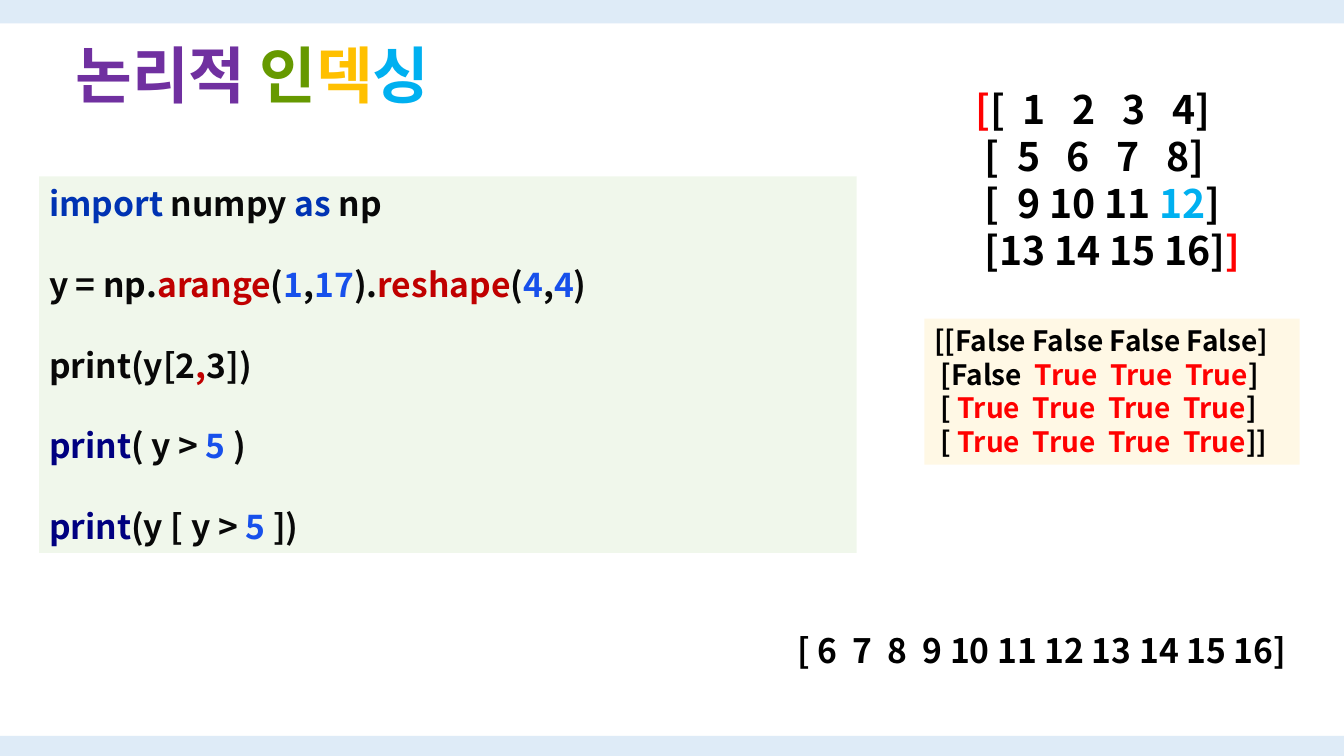
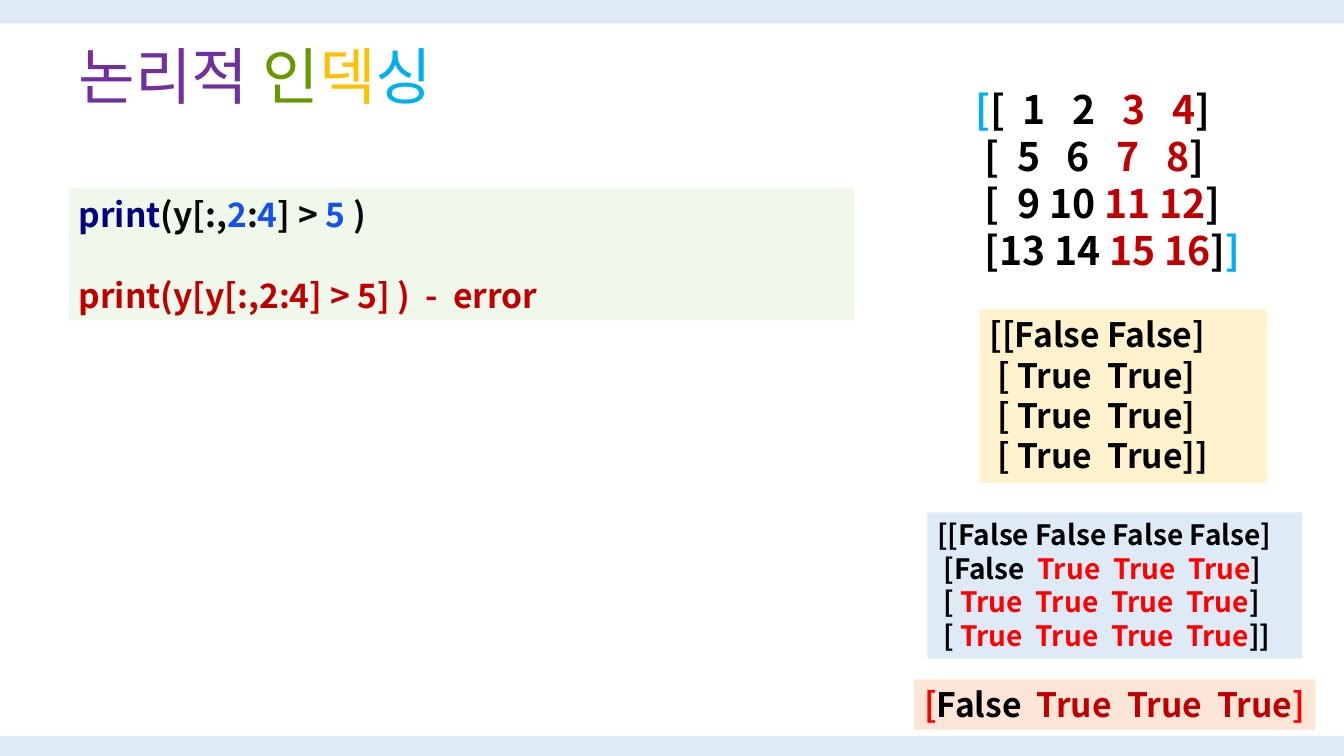
from dataclasses import dataclass

from lxml import etree
from pptx import Presentation
from pptx.dml.color import RGBColor
from pptx.enum.shapes import MSO_SHAPE
from pptx.enum.text import MSO_ANCHOR, MSO_AUTO_SIZE, PP_ALIGN
from pptx.oxml.ns import qn
from pptx.util import Pt

RECTANGLE = MSO_SHAPE.RECTANGLE
TOP = MSO_ANCHOR.TOP
MIDDLE = MSO_ANCHOR.MIDDLE
LEFT = PP_ALIGN.LEFT
NO_AUTOFIT = MSO_AUTO_SIZE.NONE


@dataclass(frozen=True)
class Theme:
    width: float = 960
    height: float = 540
    font: str = "Noto Sans CJK KR"
    leading: float = 1.2
    title_leading: float = 1.08
    title_size: int = 44
    matrix_size: int = 28
    code_size: int = 24
    table_size: int = 20
    black: str = "000000"
    ink: str = "080808"
    keyword: str = "0033B3"
    builtin: str = "000080"
    number: str = "1750EB"
    crimson: str = "C00000"
    red: str = "FF0000"
    sky: str = "00B0F0"
    purple: str = "7030A0"
    green: str = "669900"
    amber: str = "FFC000"
    pale_blue: str = "DEEBF7"
    pale_green: str = "E2F0D9"
    pale_yellow: str = "FFF2CC"
    pale_orange: str = "FBE5D6"


THEME = Theme()
BLACK, INK, RED, CRIMSON = THEME.black, THEME.ink, THEME.red, THEME.crimson
SKY, NUMBER, KEYWORD, BUILTIN = THEME.sky, THEME.number, THEME.keyword, THEME.builtin

TITLE = [[("논리적 ", THEME.purple), ("인", THEME.green), ("덱", THEME.amber), ("싱", SKY)]]

MASK_ROW = [(" [ ", BLACK), ("True  True  True  True", RED)]
FULL_MASK = [
    [("[[False False False False]", BLACK)],
    [(" [False  ", BLACK), ("True  True  True", RED), ("]", BLACK)],
    MASK_ROW + [("]", BLACK)],
    MASK_ROW + [("]]", BLACK)],
]
COLUMN_MASK = [
    [(text, BLACK)]
    for text in ("[[False False]", " [ True  True]", " [ True  True]", " [ True  True]]")
]
ROW_MASK = [[("[", RED), ("False  ", BLACK), ("True  True  True", CRIMSON), ("]", RED)]]
SELECTED_VALUES = [[("[ 6  7  8  9 10 11 12 13 14 15 16]", BLACK)]]

ELEMENT_MATRIX = [
    [("[", RED), ("[  1   2   3   4]", BLACK)],
    [(" [  5   6   7   8]", BLACK)],
    [(" [  9 10 11 ", BLACK), ("12", SKY), ("]", BLACK)],
    [(" [13 14 15 16]", BLACK), ("]", RED)],
]
COLUMN_MATRIX = [
    [("[", SKY), ("[  1   2   ", BLACK), ("3   4", CRIMSON), ("]", BLACK)],
    [(" [  5   6   ", BLACK), ("7   8", CRIMSON), ("]", BLACK)],
    [(" [  9 10 ", BLACK), ("11 12", CRIMSON), ("]", BLACK)],
    [(" [13 14 ", BLACK), ("15 16", CRIMSON), ("]", BLACK), ("]", SKY)],
]

INDEXING_CODE = [
    [("import ", KEYWORD), ("numpy ", INK), ("as ", KEYWORD), ("np", INK)],
    [("y = np.", INK), ("arange", CRIMSON), ("(", INK), ("1", NUMBER), (",", INK),
     ("17", NUMBER), (").", INK), ("reshape", CRIMSON), ("(", INK), ("4", NUMBER),
     (",", INK), ("4", NUMBER), (")", INK)],
    [("print(y[2", INK), (",", CRIMSON), ("3])", INK)],
    [("print", BUILTIN), ("( y > ", INK), ("5 ", NUMBER), (")", INK)],
    [("print", BUILTIN), ("(y [ y > ", INK), ("5 ", NUMBER), ("])", INK)],
]
COLUMN_CODE = [
    [("print", BUILTIN), ("(y[:,", INK), ("2", NUMBER), (":", INK), ("4", NUMBER),
     ("] > ", INK), ("5 ", NUMBER), (")", INK)],
    [("print(y[y[:,2:4] > 5] )  -  error", CRIMSON)],
]


def apply_format(target, values):
    for name, value in values.items():
        setattr(target, name, value)


def add_rectangle(slide, box, fill, opacity=100):
    shape = slide.shapes.add_shape(RECTANGLE, *map(Pt, box))
    shape.shadow.inherit = False
    shape.fill.solid()
    shape.fill.fore_color.rgb = RGBColor.from_string(fill)
    shape.line.fill.background()
    if opacity < 100:
        color = shape.fill._xPr.find(".//" + qn("a:srgbClr"))
        etree.SubElement(color, qn("a:alpha"), val=str(opacity * 1000))
    return shape


def add_run(paragraph, text, color, size, bold):
    run = paragraph.add_run()
    run.text = text
    apply_format(run.font, {"name": THEME.font, "size": Pt(size), "bold": bold})
    run.font.color.rgb = RGBColor.from_string(color)
    etree.SubElement(run.font._element, qn("a:ea"), typeface=THEME.font)


def write_lines(shape, lines, size, bold=True, leading=THEME.leading,
                gap=0, anchor=TOP, wrap=True):
    frame = shape.text_frame
    apply_format(frame, {
        "word_wrap": wrap,
        "auto_size": NO_AUTOFIT,
        "vertical_anchor": anchor,
        "margin_left": Pt(7.2),
        "margin_right": Pt(7.2),
        "margin_top": Pt(3.6),
        "margin_bottom": Pt(3.6),
    })
    for index, line in enumerate(lines):
        paragraph = frame.add_paragraph() if index else frame.paragraphs[0]
        apply_format(paragraph, {
            "alignment": LEFT,
            "line_spacing": Pt(size * leading),
            "space_before": Pt(gap if index else 0),
        })
        for text, color in line:
            add_run(paragraph, text, color, size, bold)


def add_bands(slide):
    for top, height in ((0, 16.8), (525.6, 14.4)):
        add_rectangle(slide, (0, top, THEME.width, height), THEME.pale_blue)


def add_title(slide, box, bold):
    shape = slide.shapes.add_textbox(*map(Pt, box))
    write_lines(shape, TITLE, THEME.title_size, bold, THEME.title_leading)


def add_matrix(slide, box, rows):
    shape = slide.shapes.add_textbox(*map(Pt, box))
    write_lines(shape, rows, THEME.matrix_size)


def add_code(slide, box, lines):
    shape = add_rectangle(slide, box, THEME.pale_green, 50)
    write_lines(shape, lines, THEME.code_size, anchor=MIDDLE,
                gap=THEME.code_size * THEME.leading)


def add_mask(slide, box, rows, fill, size, opacity=100, wrap=True):
    shape = add_rectangle(slide, box, fill, opacity)
    write_lines(shape, rows, size, wrap=wrap)


def add_values(slide, box):
    shape = slide.shapes.add_textbox(*map(Pt, box))
    write_lines(shape, SELECTED_VALUES, THEME.code_size, wrap=False)


def start_slide(presentation, title_box, title_bold, matrix):
    slide = presentation.slides.add_slide(presentation.slide_layouts[6])
    add_bands(slide)
    add_title(slide, title_box, title_bold)
    add_matrix(slide, (689.8, 57.6, 224, 143.3), matrix)
    return slide


def build_element_slide(presentation):
    slide = start_slide(presentation, (46.8, 28, 808.6, 75), True, ELEMENT_MATRIX)
    add_code(slide, (28, 126, 584, 269), INDEXING_CODE)
    add_mask(slide, (660.3, 227.5, 268, 104.4), FULL_MASK, THEME.pale_yellow,
             THEME.table_size, opacity=50)
    add_values(slide, (562.3, 446.4, 373.7, 36))


def build_column_slide(presentation):
    slide = start_slide(presentation, (49, 28.8, 808.6, 75), False, COLUMN_MATRIX)
    add_code(slide, (49, 134.6, 561, 94.3), COLUMN_CODE)
    add_mask(slide, (699.8, 221, 205, 124), COLUMN_MASK, THEME.pale_yellow,
             THEME.code_size)
    add_mask(slide, (662.4, 366, 268, 104.4), FULL_MASK, THEME.pale_blue,
             THEME.table_size)
    add_mask(slide, (653, 485.3, 286.6, 36), ROW_MASK, THEME.pale_orange,
             THEME.code_size, wrap=False)


def main():
    presentation = Presentation()
    apply_format(presentation, {
        "slide_width": Pt(THEME.width),
        "slide_height": Pt(THEME.height),
    })
    build_element_slide(presentation)
    build_column_slide(presentation)
    presentation.save("out.pptx")


if __name__ == "__main__":
    main()
